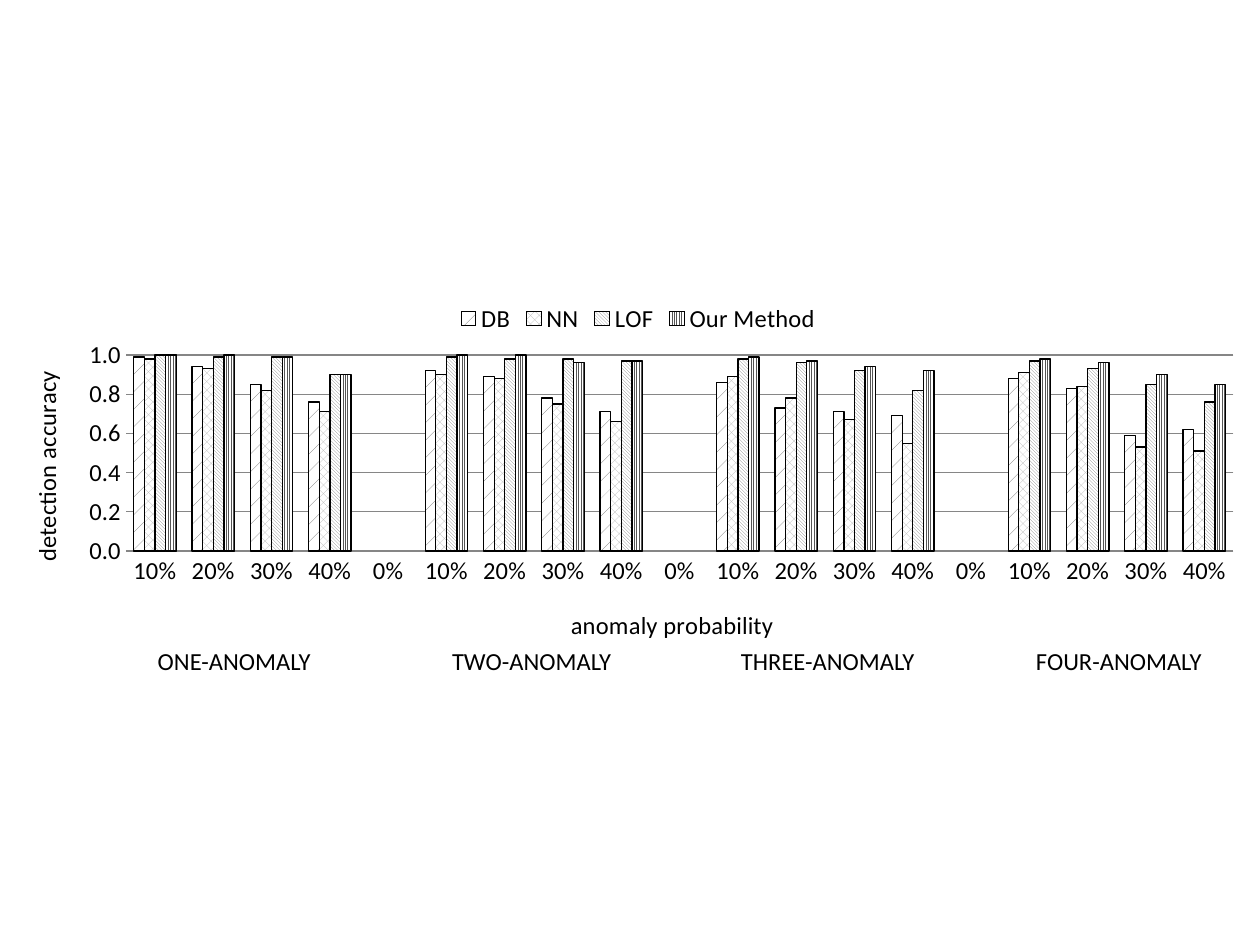
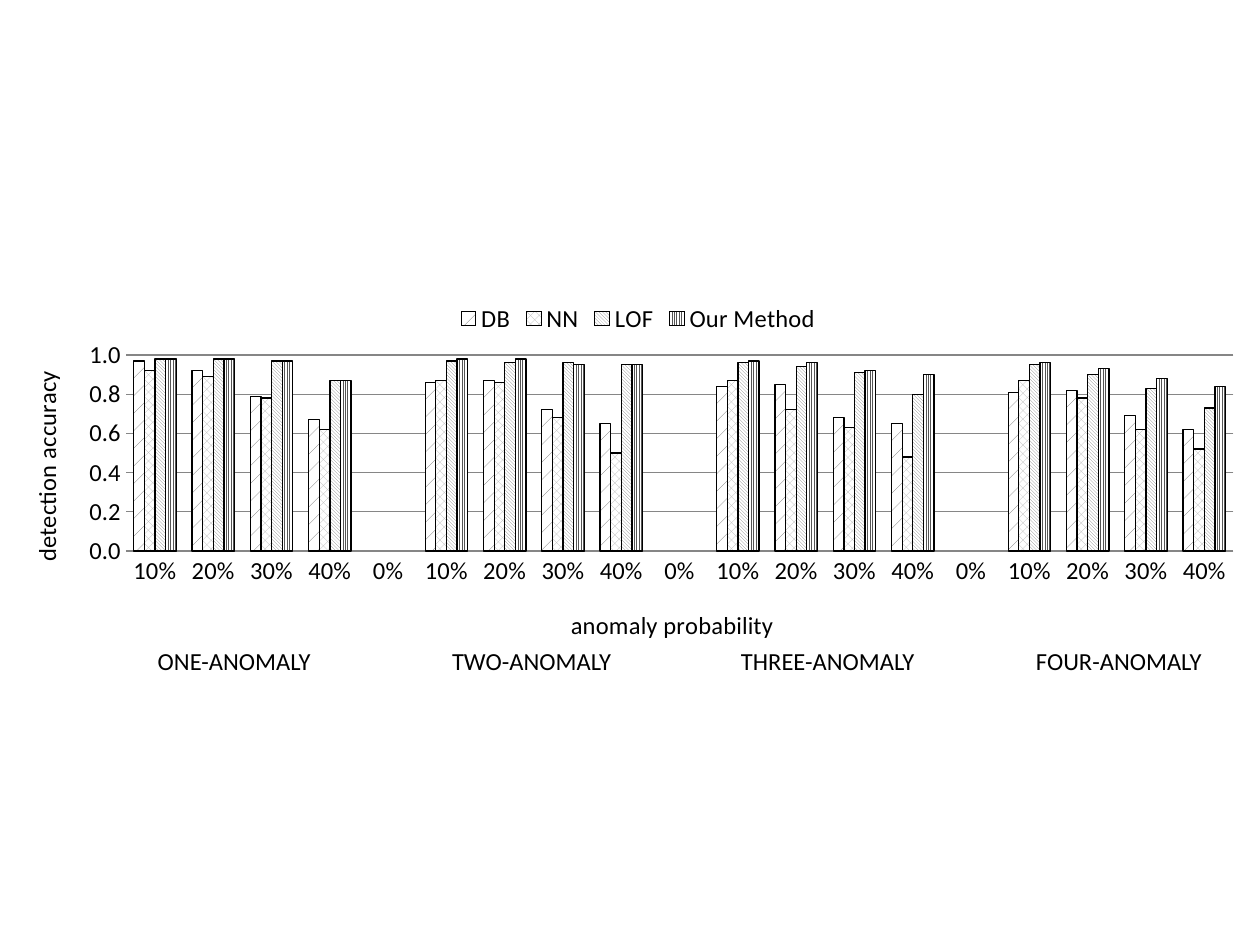
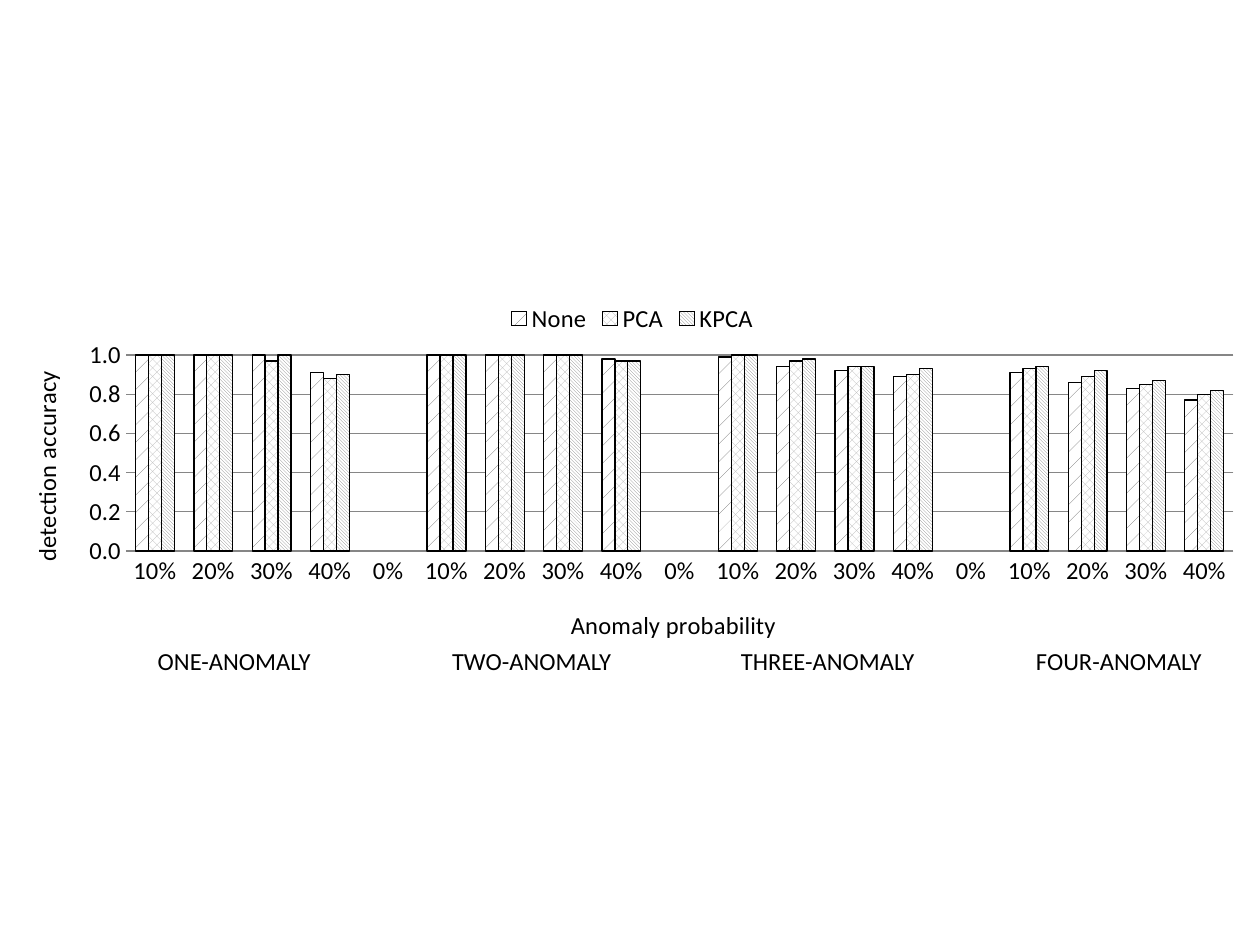
from lxml import etree
from pptx import Presentation
from pptx.chart.data import CategoryChartData
from pptx.dml.color import RGBColor
from pptx.enum.chart import XL_CHART_TYPE, XL_LEGEND_POSITION, XL_TICK_MARK
from pptx.enum.dml import MSO_PATTERN
from pptx.enum.text import MSO_ANCHOR, MSO_AUTO_SIZE, PP_ALIGN
from pptx.oxml.ns import qn
from pptx.util import Inches, Pt

COLUMNS = XL_CHART_TYPE.COLUMN_CLUSTERED
LEGEND_TOP = XL_LEGEND_POSITION.TOP
NO_TICK = XL_TICK_MARK.NONE
MIDDLE = MSO_ANCHOR.MIDDLE
GROW = MSO_AUTO_SIZE.SHAPE_TO_FIT_TEXT
CENTER = PP_ALIGN.CENTER

BLACK = RGBColor(0x00, 0x00, 0x00)
WHITE = RGBColor(0xFF, 0xFF, 0xFF)
GRID_GREY = RGBColor(0x86, 0x86, 0x86)
HATCHES = [
    (MSO_PATTERN.PERCENT_5, RGBColor(0x65, 0x65, 0x65)),
    (MSO_PATTERN.PERCENT_50, RGBColor(0xB4, 0xB4, 0xB4)),
    (MSO_PATTERN.LIGHT_DOWNWARD_DIAGONAL, RGBColor(0x84, 0x84, 0x84)),
    (MSO_PATTERN.LIGHT_VERTICAL, RGBColor(0x55, 0x55, 0x55)),
]
FONT = "Calibri"
LABEL_SIZE = Pt(14)

PROBABILITIES = [0.1, 0.2, 0.3, 0.4]
ANOMALY_LABELS = [
    ("ONE-ANOMALY", 0.91, 1.9),
    ("TWO-ANOMALY", 3.27, 1.9),
    ("THREE-ANOMALY", 5.47, 2.2),
    ("FOUR-ANOMALY", 7.83, 2.1),
]
COMPARISONS = [
    ("anomaly probability", 0.36, {
        "DB": [0.99, 0.94, 0.85, 0.76, 0.92, 0.89, 0.78, 0.71,
               0.86, 0.73, 0.71, 0.69, 0.88, 0.83, 0.59, 0.62],
        "NN": [0.98, 0.93, 0.82, 0.71, 0.9, 0.88, 0.75, 0.66,
               0.89, 0.78, 0.67, 0.55, 0.91, 0.84, 0.53, 0.51],
        "LOF": [1, 0.99, 0.99, 0.9, 0.99, 0.98, 0.98, 0.97,
                0.98, 0.96, 0.92, 0.82, 0.97, 0.93, 0.85, 0.76],
        "Our Method": [1, 1, 0.99, 0.9, 1, 1, 0.96, 0.97,
                       0.99, 0.97, 0.94, 0.92, 0.98, 0.96, 0.9, 0.85],
    }),
    ("anomaly probability", 0.36, {
        "DB": [0.97, 0.92, 0.79, 0.67, 0.86, 0.87, 0.72, 0.65,
               0.84, 0.85, 0.68, 0.65, 0.81, 0.82, 0.69, 0.62],
        "NN": [0.92, 0.89, 0.78, 0.62, 0.87, 0.86, 0.68, 0.5,
               0.87, 0.72, 0.63, 0.48, 0.87, 0.78, 0.62, 0.52],
        "LOF": [0.98, 0.98, 0.97, 0.87, 0.97, 0.96, 0.96, 0.95,
                0.96, 0.94, 0.91, 0.8, 0.95, 0.9, 0.83, 0.73],
        "Our Method": [0.98, 0.98, 0.97, 0.87, 0.98, 0.98, 0.95, 0.95,
                       0.97, 0.96, 0.92, 0.9, 0.96, 0.93, 0.88, 0.84],
    }),
    ("Anomaly probability", 0.4, {
        "None": [1, 1, 1, 0.91, 1, 1, 1, 0.98,
                 0.99, 0.94, 0.92, 0.89, 0.91, 0.86, 0.83, 0.77],
        "PCA": [1, 1, 0.97, 0.88, 1, 1, 1, 0.97,
                1, 0.97, 0.94, 0.9, 0.93, 0.89, 0.85, 0.8],
        "KPCA": [1, 1, 1, 0.9, 1, 1, 1, 0.97,
                 1, 0.98, 0.94, 0.93, 0.94, 0.92, 0.87, 0.82],
    }),
]


def with_gaps(values):
    spaced = []
    for start in range(0, len(values), len(PROBABILITIES)):
        spaced += values[start:start + len(PROBABILITIES)] + [None]
    return spaced[:-1]


def place(part, index, **shares):
    for old in part.findall(qn("c:layout")):
        part.remove(old)
    layout = etree.Element(qn("c:layout"))
    manual = etree.SubElement(layout, qn("c:manualLayout"))
    if "w" in shares:
        etree.SubElement(manual, qn("c:layoutTarget")).set("val", "inner")
    for mode in ("xMode", "yMode"):
        etree.SubElement(manual, qn(f"c:{mode}")).set("val", "edge")
    for name, share in shares.items():
        etree.SubElement(manual, qn(f"c:{name}")).set("val", str(share))
    part.insert(index, layout)


prs = Presentation()
prs.slide_width = Inches(10)
prs.slide_height = Inches(7.5)

for probability_title, legend_x, methods in COMPARISONS:
    slide = prs.slides.add_slide(prs.slide_layouts[6])

    accuracies = CategoryChartData(number_format="General")
    accuracies.categories = with_gaps(PROBABILITIES * len(ANOMALY_LABELS))
    accuracies.categories.number_format = "0%"
    for method, values in methods.items():
        accuracies.add_series(method, with_gaps(values))
    chart = slide.shapes.add_chart(
        COLUMNS, 0, Inches(2.25), Inches(9.99), Inches(2.99), accuracies
    ).chart
    for blank in chart.element.xpath(".//c:cat//c:pt[not(c:v/text())]"):
        blank.getparent().remove(blank)

    chart.has_title = False
    chart.font.name = FONT
    chart.font.size = Pt(10)
    chart.font.color.rgb = BLACK
    place(chart.element.find(".//" + qn("c:plotArea")), 0, x=0.1, y=0.19, w=0.88, h=0.52)

    chart.has_legend = True
    chart.legend.position = LEGEND_TOP
    chart.legend.include_in_layout = False
    chart.legend.font.size = LABEL_SIZE
    chart.legend.font.name = FONT
    place(chart.legend._element, 1, x=legend_x, y=0.04)

    plot = chart.plots[0]
    plot.gap_width = 150
    plot.overlap = 0
    plot.vary_by_categories = False
    for series, (pattern, ink) in zip(plot.series, HATCHES):
        fill = series.format.fill
        fill.patterned()
        fill.pattern = pattern
        fill.fore_color.rgb = ink
        fill.back_color.rgb = WHITE
        series.format.line.color.rgb = BLACK
        series.format.line.width = Pt(0.75)

    probability, accuracy = chart.category_axis, chart.value_axis
    for axis, title, x, y in (
        (probability, probability_title, 0.45, 0.85),
        (accuracy, "detection accuracy", 0.02, 0.22),
    ):
        axis.major_tick_mark = NO_TICK
        axis.minor_tick_mark = NO_TICK
        axis.tick_labels.font.size = LABEL_SIZE
        axis.tick_labels.font.name = FONT
        run = axis.axis_title.text_frame.paragraphs[0].add_run()
        run.text = title
        run.font.name = FONT
        run.font.size = LABEL_SIZE
        run.font.bold = False
        run.font.color.rgb = BLACK
        place(axis.axis_title._element, 1, x=x, y=y)
    probability.tick_labels.number_format = "0%"
    probability.tick_labels.number_format_is_linked = False
    probability.format.line.color.rgb = GRID_GREY

    turned = accuracy.axis_title.text_frame._txBody.bodyPr
    turned.set("rot", "-5400000")
    turned.set("vert", "horz")
    accuracy.minimum_scale = 0
    accuracy.maximum_scale = 1
    accuracy.major_unit = 0.2
    accuracy.tick_labels.number_format = "#,##0.0"
    accuracy.tick_labels.number_format_is_linked = False
    accuracy.format.line.fill.background()
    accuracy.has_major_gridlines = True
    accuracy.major_gridlines.format.line.color.rgb = GRID_GREY
    accuracy.major_gridlines.format.line.width = Pt(0.75)

    for label, left, width in ANOMALY_LABELS:
        frame = slide.shapes.add_textbox(
            Inches(left), Inches(5.07), Inches(width), Inches(0.34)
        ).text_frame
        frame.word_wrap = True
        frame.auto_size = GROW
        frame.vertical_anchor = MIDDLE
        frame.paragraphs[0].alignment = CENTER
        run = frame.paragraphs[0].add_run()
        run.text = label
        run.font.name = FONT
        run.font.size = LABEL_SIZE
        run.font.color.rgb = BLACK

prs.save("out.pptx")
